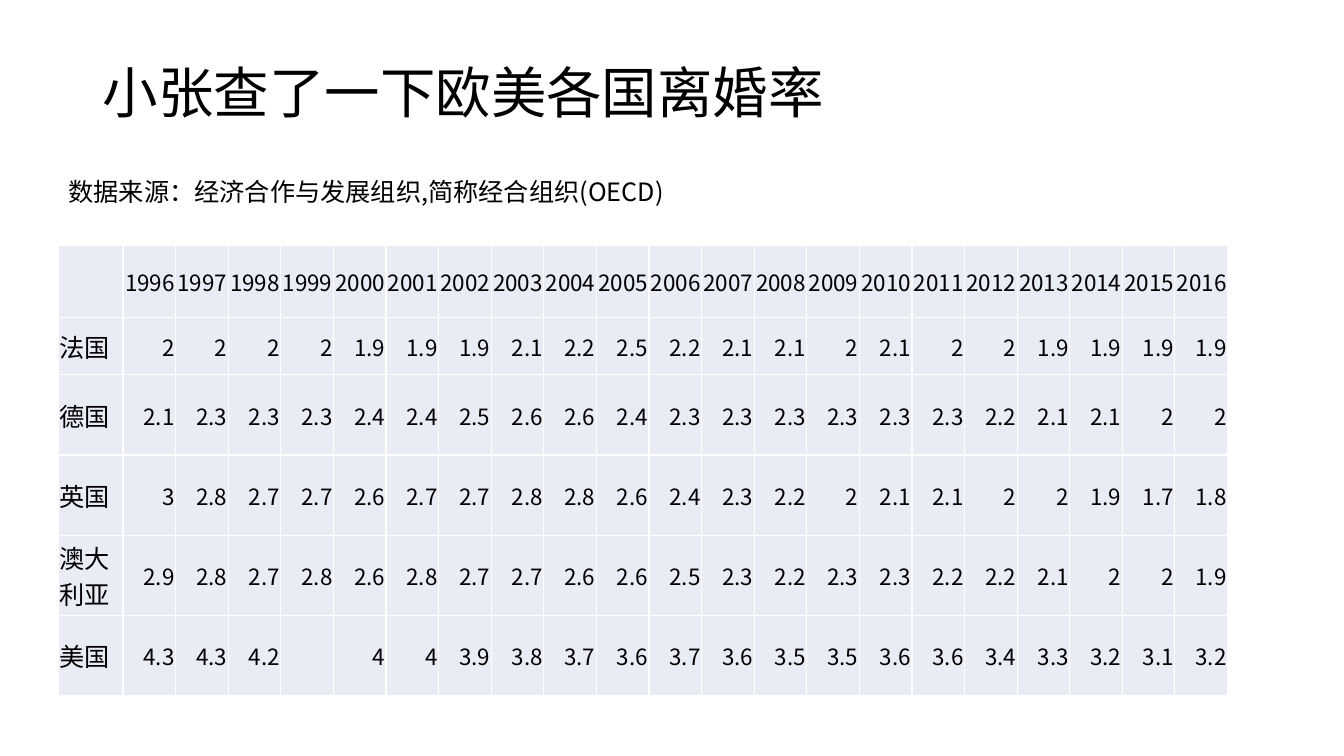
"""Build a slide with a table of divorce rates by country, 1996 to 2016."""
from lxml import etree
from pptx import Presentation
from pptx.dml.color import RGBColor
from pptx.enum.text import MSO_ANCHOR, MSO_AUTO_SIZE, PP_ALIGN
from pptx.oxml.ns import qn
from pptx.util import Inches, Pt

LEFT, RIGHT = PP_ALIGN.LEFT, PP_ALIGN.RIGHT
MIDDLE = MSO_ANCHOR.MIDDLE
NO_AUTOFIT = MSO_AUTO_SIZE.NONE
FIT_SHAPE = MSO_AUTO_SIZE.SHAPE_TO_FIT_TEXT

THEME = {
    "font": "Noto Sans CJK SC",
    "ink": RGBColor.from_string("000000"),
    "cell": RGBColor.from_string("E9EBF5"),
    "border": "FFFFFF",
    "title": Pt(39.6),
    "body": Pt(18),
    "figure": Pt(16),
}
CELL_FORMAT = {
    "margin_left": Inches(0.01),
    "margin_right": Inches(0.01),
    "margin_top": Inches(0.01),
    "margin_bottom": 0,
    "vertical_anchor": MIDDLE,
}
YEARS = range(1996, 2017)
RATES = {
    "法国": "2 2 2 2 1.9 1.9 1.9 2.1 2.2 2.5 2.2 2.1 2.1 2 2.1 2 2 1.9 1.9 1.9 1.9",
    "德国": "2.1 2.3 2.3 2.3 2.4 2.4 2.5 2.6 2.6 2.4 2.3 2.3 2.3 2.3 2.3 2.3 2.2 2.1 2.1 2 2",
    "英国": "3 2.8 2.7 2.7 2.6 2.7 2.7 2.8 2.8 2.6 2.4 2.3 2.2 2 2.1 2.1 2 2 1.9 1.7 1.8",
    "澳大利亚": "2.9 2.8 2.7 2.8 2.6 2.8 2.7 2.7 2.6 2.6 2.5 2.3 2.2 2.3 2.3 2.2 2.2 2.1 2 2 1.9",
    "美国": "4.3 4.3 4.2 - 4 4 3.9 3.8 3.7 3.6 3.7 3.6 3.5 3.5 3.6 3.6 3.4 3.3 3.2 3.1 3.2",
}


def write(frame, text, size, align=LEFT):
    """Put one styled run into the first paragraph of a text frame."""
    paragraph = frame.paragraphs[0]
    paragraph.alignment = align
    run = paragraph.add_run()
    run.text = text
    for key, value in {"name": THEME["font"], "size": size}.items():
        setattr(run.font, key, value)
    run.font.color.rgb = THEME["ink"]
    east_asian = etree.SubElement(run.font._element, qn("a:ea"))
    east_asian.set("typeface", THEME["font"])


def add_borders(cell):
    """Draw a thin line on each side of a table cell."""
    properties = cell._tc.get_or_add_tcPr()
    for position, side in enumerate(("a:lnL", "a:lnR", "a:lnT", "a:lnB")):
        line = etree.Element(qn(side), w=str(Pt(1)))
        fill = etree.SubElement(line, qn("a:solidFill"))
        etree.SubElement(fill, qn("a:srgbClr"), val=THEME["border"])
        properties.insert(position, line)


presentation = Presentation()
presentation.slide_width = Inches(13.33)
presentation.slide_height = Inches(7.5)
slide = presentation.slides.add_slide(presentation.slide_layouts[5])

title = slide.shapes.title
title_box = {"left": 0.92, "top": 0.4, "width": 7.68, "height": 1.1}
for key, value in title_box.items():
    setattr(title, key, Inches(value))
title_format = {"vertical_anchor": MIDDLE, "auto_size": NO_AUTOFIT, "word_wrap": True}
for key, value in title_format.items():
    setattr(title.text_frame, key, value)
write(title.text_frame, "小张查了一下欧美各国离婚率", THEME["title"])
title.text_frame.paragraphs[0].line_spacing = 0.9

rows = [["", *map(str, YEARS)]]
rows += [[country, *rates.replace("-", "").split(" ")] for country, rates in RATES.items()]

table_width, table_height = Inches(11.6), Inches(4.47)
country_width = Inches(0.64)
header_height, first_height = Inches(0.72), Inches(0.57)
rate_table = slide.shapes.add_table(
    len(rows), len(rows[0]), Inches(0.58), Inches(2.43), table_width, table_height
).table

year_width = (table_width - country_width) // len(YEARS)
for index, column in enumerate(rate_table.columns):
    column.width = year_width if index else country_width
other_height = (table_height - header_height - first_height) // (len(rows) - 2)
heights = [header_height, first_height] + [other_height] * (len(rows) - 2)
for row, height in zip(rate_table.rows, heights):
    row.height = height

for row_index, values in enumerate(rows):
    for column_index, value in enumerate(values):
        cell = rate_table.cell(row_index, column_index)
        for key, setting in CELL_FORMAT.items():
            setattr(cell, key, setting)
        cell.fill.solid()
        cell.fill.fore_color.rgb = THEME["cell"]
        add_borders(cell)
        if value and column_index:
            write(cell.text_frame, value, THEME["figure"], RIGHT)
        elif value:
            write(cell.text_frame, value, THEME["body"])

source_note = slide.shapes.add_textbox(Inches(0.58), Inches(1.7), Inches(7.22), Inches(0.71))
source_note.text_frame.word_wrap = True
source_note.text_frame.auto_size = FIT_SHAPE
write(source_note.text_frame, "数据来源：经济合作与发展组织,简称经合组织(OECD)", THEME["body"])

presentation.save("out.pptx")
